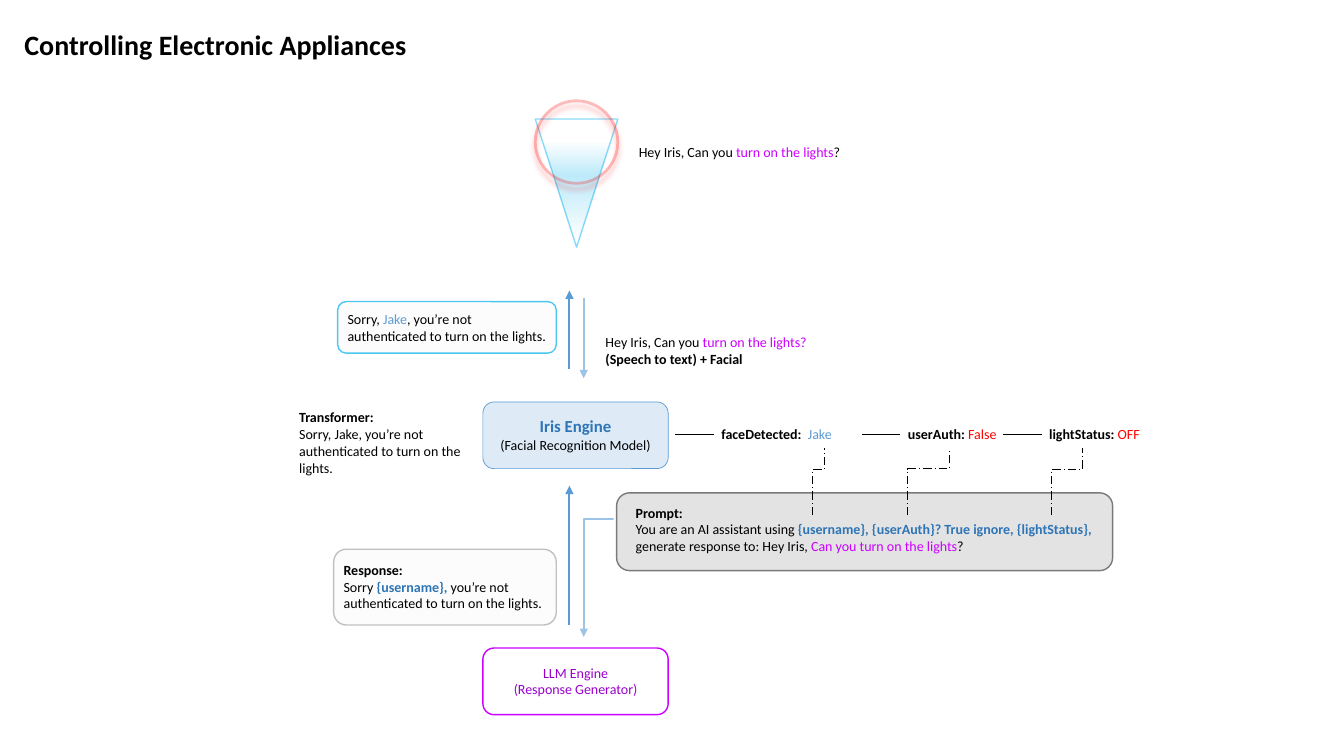
from lxml import etree
from pptx import Presentation
from pptx.dml.color import RGBColor
from pptx.enum import dml, shapes, text
from pptx.oxml import ns
from pptx.util import Cm, Pt

COLOURS = {
    "black": "000000", "white": "FFFFFF", "red": "FF0000", "cyan": "00B0F0",
    "blue": "5B9BD5", "light": "9DC3E6", "pale": "DEEBF7", "deep": "2E75B6",
    "magenta": "CC00FF", "purple": "9900CC", "grey": "A5A5A5", "edge": "7A7A7A",
}
KIND = shapes.MSO_SHAPE


def rgb(name):
    return RGBColor.from_string(COLOURS[name])


def add_child(parent, tag, **attributes):
    return etree.SubElement(parent, ns.qn(tag), attributes)


def set_alpha(fill_element, percent):
    if percent < 100:
        colour = fill_element.find(".//" + ns.qn("a:srgbClr"))
        add_child(colour, "a:alpha", val=str(percent * 1000))


def add_box(page, kind, left, top, width, height, line, weight=1,
            line_alpha=100, fill=None, fill_alpha=100):
    box = page.shapes.add_shape(kind, Cm(left), Cm(top), Cm(width), Cm(height))
    box.shadow.inherit = False
    box.line.color.rgb = rgb(line)
    box.line.width = Pt(weight)
    properties = box.element.spPr
    set_alpha(properties.find(ns.qn("a:ln")), line_alpha)
    if fill:
        box.fill.solid()
        box.fill.fore_color.rgb = rgb(fill)
        set_alpha(properties.find(ns.qn("a:solidFill")), fill_alpha)
    else:
        box.fill.background()
    return box


def write(box, paragraphs, size=10, align=text.PP_ALIGN.LEFT):
    frame = box.text_frame
    frame.word_wrap = True
    frame.auto_size = text.MSO_AUTO_SIZE.SHAPE_TO_FIT_TEXT
    frame.vertical_anchor = text.MSO_ANCHOR.TOP
    for index, spans in enumerate(paragraphs):
        para = frame.add_paragraph() if index else frame.paragraphs[0]
        para.alignment = align
        for words, colour, bold, *own_size in spans:
            span = para.add_run()
            span.text = words
            span.font.name = "Calibri"
            span.font.size = Pt(own_size[0] if own_size else size)
            span.font.bold = bold
            span.font.color.rgb = rgb(colour)


def add_text(page, left, top, width, height, paragraphs, **layout):
    box = page.shapes.add_textbox(Cm(left), Cm(top), Cm(width), Cm(height))
    write(box, paragraphs, **layout)


def add_line(page, x1, y1, x2, y2, colour="black", weight=0.75, arrow=False,
             dash=None, bend=None):
    kind = shapes.MSO_CONNECTOR.STRAIGHT
    if bend is not None:
        kind = shapes.MSO_CONNECTOR.ELBOW
        middle_x, middle_y = (x1 + x2) / 2, (y1 + y2) / 2
        half_x, half_y = (y2 - y1) / 2, (x1 - x2) / 2
        x1, x2 = middle_x - half_x, middle_x + half_x
        y1, y2 = middle_y - half_y, middle_y + half_y
    link = page.shapes.add_connector(kind, Cm(x1), Cm(y1), Cm(x2), Cm(y2))
    link.line.color.rgb = rgb(colour)
    link.line.width = Pt(weight)
    properties = link._element.spPr
    if dash:
        link.line.dash_style = dash
    if arrow:
        add_child(properties.find(ns.qn("a:ln")), "a:tailEnd", type="triangle")
    if bend is not None:
        properties.find(ns.qn("a:xfrm")).set("rot", "5400000")
        guides = properties.find(".//" + ns.qn("a:avLst"))
        add_child(guides, "a:gd", name="adj1", fmla=f"val {round(bend * 100000)}")
    add_child(properties, "a:effectLst")


def draw_title(page, left, top, width, height):
    title = page.shapes.title
    title.left, title.top, title.width, title.height = map(Cm, (left, top, width, height))
    write(title, [[("Controlling Electronic Appliances", "black", True)]], size=20)


def draw_iris(page, left, top, size):
    cone = add_box(page, KIND.ISOSCELES_TRIANGLE, left, top + 0.46, size, 3.23,
                   "cyan", line_alpha=45)
    cone.rotation = 180
    properties = cone.element.spPr
    gradient = etree.Element(ns.qn("a:gradFill"), rotWithShape="1")
    stops = add_child(gradient, "a:gsLst")
    for position, alpha in ((18, 0), (44, 26), (94, 0)):
        stop = add_child(stops, "a:gs", pos=str(position * 1000))
        add_child(stop, "a:srgbClr", val=COLOURS["cyan"])
        set_alpha(stop, alpha)
    add_child(gradient, "a:lin", ang="16200000", scaled="0")
    properties.replace(properties.find(ns.qn("a:noFill")), gradient)

    ring = add_box(page, KIND.OVAL, left, top, size, size, "red", 2, line_alpha=25)
    effects = ring.element.spPr.find(ns.qn("a:effectLst"))
    shadow = add_child(effects, "a:outerShdw", blurRad=str(Pt(4)), dist=str(Pt(4)),
                       dir="5400000", algn="t", rotWithShape="0")
    add_child(shadow, "a:srgbClr", val=COLOURS["red"])
    add_text(page, left + 2.36, top + 0.94, 7.04, 0.69, [[
        ("Hey Iris, Can you ", "black", False),
        ("turn on the lights", "magenta", False), ("?", "black", False)]])


def draw_exchange(page, left, top):
    add_box(page, KIND.ROUNDED_RECTANGLE, left, top + 0.28, 5.51, 1.3, "cyan",
            line_alpha=70, fill="grey", fill_alpha=3)
    add_text(page, left, top + 0.38, 5.66, 1.12, [[
        ("Sorry, ", "black", False), ("Jake", "blue", False),
        (", you’re not authenticated to turn on the lights.", "black", False)]])
    add_line(page, left + 5.84, top + 1.98, left + 5.84, top, "blue", 1.5, arrow=True)
    add_line(page, left + 6.2, top + 0.18, left + 6.2, top + 2.21, "light", 1.5, arrow=True)
    add_text(page, left + 6.5, top + 0.97, 7.04, 1.12, [
        [("Hey Iris, Can you ", "black", False),
         ("turn on the lights?", "magenta", False)],
        [("(Speech to text) + Facial", "black", True)]])


def draw_engine(page, left, top):
    add_text(page, left, top + 0.05, 4.67, 1.96, [
        [("Transformer:", "black", True)],
        [("Sorry, Jake, you’re not authenticated to turn on the lights.", "black", False)]])
    add_box(page, KIND.ROUNDED_RECTANGLE, left + 4.88, top, 4.67, 1.68, "blue", 0.5,
            fill="pale")
    add_text(page, left + 4.88, top + 0.23, 4.67, 1.19, [
        [("Iris Engine", "deep", True, 12)],
        [("(Facial Recognition Model)", "black", False)]], align=text.PP_ALIGN.CENTER)
    facts = ((10.64, 3.86, "faceDetected:  ", "Jake", "blue"),
             (15.34, 2.79, "userAuth: ", "False", "red"),
             (18.9, 3.18, "lightStatus: ", "OFF", "red"))
    for offset, width, label, value, colour in facts:
        start = left + offset - 0.91
        add_line(page, start, top + 0.83, start + 0.97, top + 0.83)
        add_text(page, left + offset, top + 0.48, width, 0.69,
                 [[(label, "black", True), (value, colour, False)]])


def draw_prompt(page, left, top):
    add_box(page, KIND.ROUNDED_RECTANGLE, left, top + 1.14, 12.5, 1.96, "edge",
            fill="grey", fill_alpha=30)
    add_text(page, left + 0.23, top + 1.3, 12.95, 1.55, [
        [("Prompt:", "black", True)],
        [("You are an AI assistant using ", "black", False),
         ("{username}, {userAuth}? True ignore, {lightStatus},", "deep", True)],
        [("generate response to: Hey Iris, ", "black", False),
         ("Can you turn on the lights", "magenta", False), ("?", "black", False)]])
    for field, fact, rise, bend in ((4.93, 5.23, 0, 0.67), (7.34, 8.38, 0.05, 0.71),
                                    (10.95, 11.73, 0, 0.67)):
        add_line(page, left + field, top + 1.7, left + fact, top + rise,
                 dash=dml.MSO_LINE.LONG_DASH_DOT, bend=bend)


def draw_response(page, left, top):
    add_box(page, KIND.ROUNDED_RECTANGLE, left, top + 1.6, 5.61, 1.91, "edge",
            line_alpha=45, fill="grey", fill_alpha=3)
    add_text(page, left, top + 1.78, 5.77, 1.55, [
        [("Response:", "black", True)],
        [("Sorry ", "black", False), ("{username}, ", "deep", True),
         ("you’re not authenticated to turn on the lights.", "black", False)]])
    add_line(page, left + 5.94, top + 3.5, left + 5.94, top, "blue", 1.5, arrow=True)
    add_line(page, left + 7.04, top + 0.81, left + 6.3, top + 3.81, "light", 1.5,
             arrow=True, bend=0.01)
    add_box(page, KIND.ROUNDED_RECTANGLE, left + 3.76, top + 4.09, 4.67, 1.68, "magenta",
            fill="white")
    add_text(page, left + 3.76, top + 4.37, 4.67, 1.12, [
        [("LLM Engine", "purple", False)],
        [("(Response Generator)", "purple", False)]], align=text.PP_ALIGN.CENTER)


def main():
    deck = Presentation()
    deck.slide_width, deck.slide_height = Cm(33.87), Cm(19.05)
    page = deck.slides.add_slide(deck.slide_layouts.get_by_name("Title Only"))
    draw_title(page, 0.36, 0.56, 11.46, 1.12)
    draw_iris(page, 13.49, 2.54, 2.08)
    draw_exchange(page, 8.51, 7.32)
    draw_engine(page, 7.29, 10.13)
    draw_prompt(page, 15.54, 11.28)
    draw_response(page, 8.41, 12.24)
    deck.save("out.pptx")


if __name__ == "__main__":
    main()
